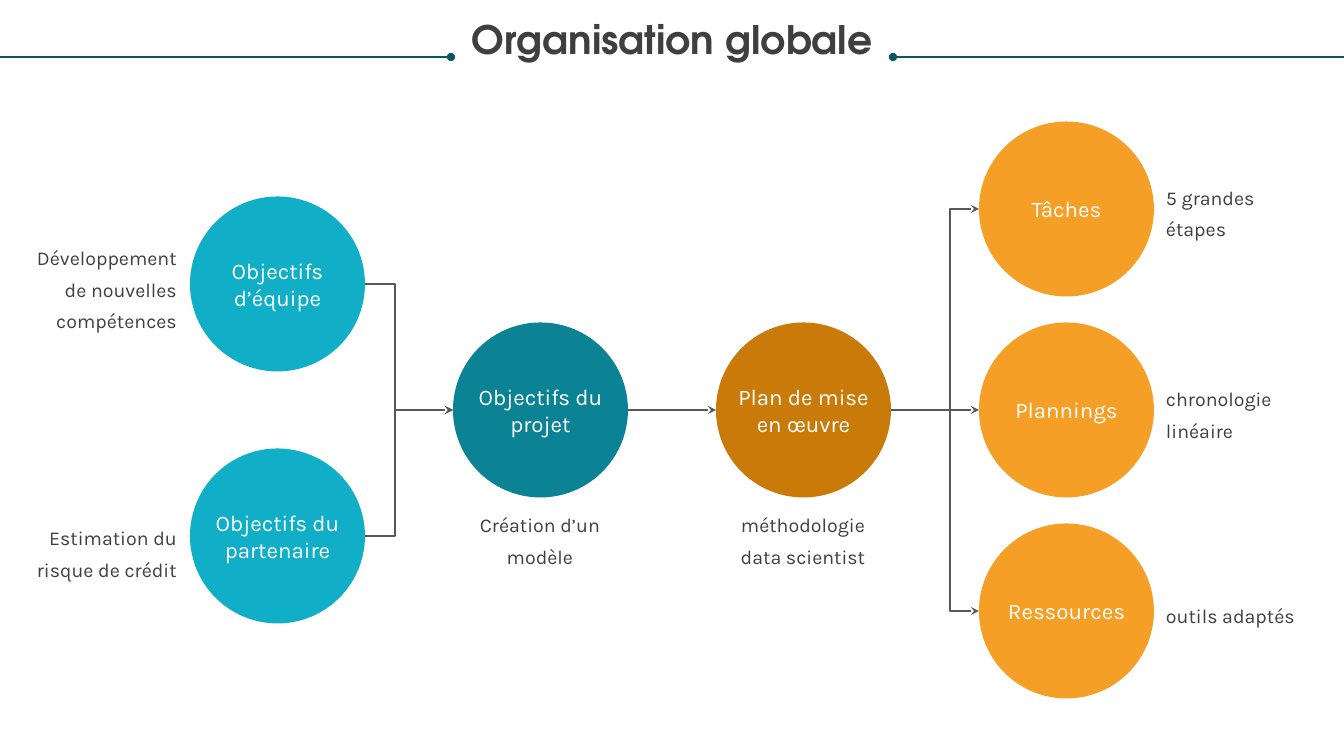
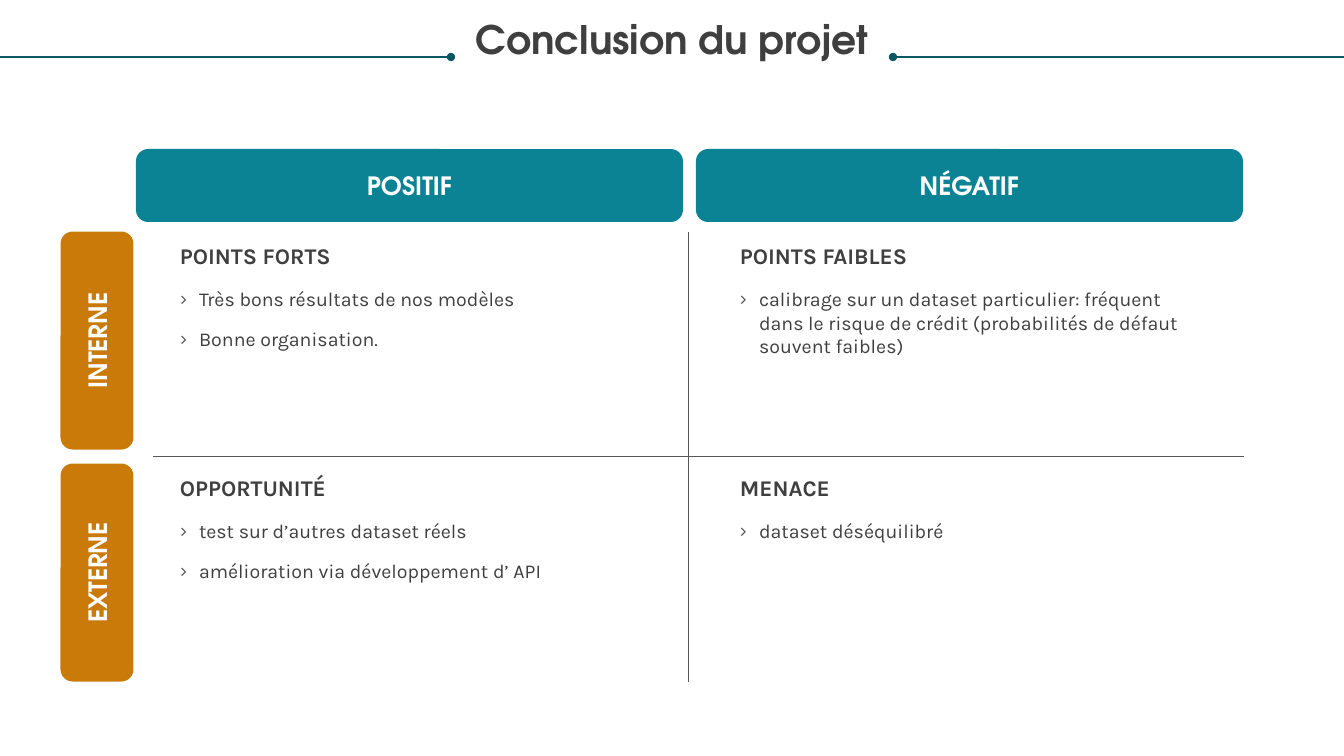
from lxml import etree
from pptx import Presentation
from pptx.dml.color import RGBColor
from pptx.enum.shapes import MSO_CONNECTOR, MSO_SHAPE
from pptx.enum.text import MSO_ANCHOR, MSO_AUTO_SIZE, PP_ALIGN
from pptx.oxml.ns import qn
from pptx.util import Emu, Pt

STRAIGHT, ELBOW = MSO_CONNECTOR.STRAIGHT, MSO_CONNECTOR.ELBOW
OVAL, ROUNDED = MSO_SHAPE.OVAL, MSO_SHAPE.ROUNDED_RECTANGLE
TOP, MIDDLE = MSO_ANCHOR.TOP, MSO_ANCHOR.MIDDLE
LEFT, CENTER, RIGHT = PP_ALIGN.LEFT, PP_ALIGN.CENTER, PP_ALIGN.RIGHT

WHITE = RGBColor(0xFF, 0xFF, 0xFF)
INK = RGBColor(0x3F, 0x3F, 0x3F)
GREY = RGBColor(0x58, 0x58, 0x58)
DARK_TEAL = RGBColor(0x08, 0x57, 0x63)
TEAL = RGBColor(0x0C, 0x82, 0x95)
CYAN = RGBColor(0x11, 0xAE, 0xC7)
BROWN = RGBColor(0xCA, 0x7A, 0x09)
ORANGE = RGBColor(0xF5, 0x9F, 0x26)

HEAD_FONT, BODY_FONT = "TeX Gyre Adventor", "Karla"
W, H = 1344, 756
PX = 12192000 / W


def set_text(s, box, text, size, color=INK, font=BODY_FONT, bold=False,
             align=LEFT, anchor=TOP, spacing=1.0):
    """Place a shape at box (left, top, width, height in px) and format its text."""
    s.left, s.top, s.width, s.height = (Emu(round(v * PX)) for v in box)
    tf = s.text_frame
    tf.text = text
    tf.word_wrap = True
    tf.auto_size = MSO_AUTO_SIZE.NONE
    tf.vertical_anchor = anchor
    tf.margin_left = tf.margin_right = tf.margin_top = tf.margin_bottom = 0
    for p in tf.paragraphs:
        p.alignment = align
        p.line_spacing = spacing
        p.space_before = Pt(0)
        for r in p.runs:
            r.font.name, r.font.size, r.font.bold = font, Pt(size), bold
            r.font.color.rgb = color
    return tf


def add_line(shapes, x1, y1, x2, y2, color, width, head=None, tail=None, bend=None):
    """Draw a line in px; bend is the elbow's position in percent of its width."""
    c = shapes.add_connector(STRAIGHT if bend is None else ELBOW,
                             *(Emu(round(v * PX)) for v in (x1, y1, x2, y2)))
    c.line.color.rgb = color
    c.line.width = Pt(width)
    ln = c.line._get_or_add_ln()
    for tag, kind in (("a:headEnd", head), ("a:tailEnd", tail)):
        if kind:
            etree.SubElement(ln, qn(tag), type=kind)
    sp_pr = c._element.spPr
    etree.SubElement(sp_pr, qn("a:effectLst"))
    if bend is not None:
        guides = sp_pr.find(qn("a:prstGeom")).get_or_add_avLst()
        etree.SubElement(guides, qn("a:gd"), name="adj1", fmla=f"val {bend * 1000}")


prs = Presentation()
prs.slide_width, prs.slide_height = Emu(round(W * PX)), Emu(round(H * PX))

# Shared title with a dotted rule on each side
slides = []
for layout, title in (("Title Only", "Organisation globale"),
                      ("Comparison", "Conclusion du projet")):
    slide = prs.slides.add_slide(prs.slide_layouts.get_by_name(layout))
    set_text(slide.shapes.title, (25, 21, 1294, 80), title, 28, font=HEAD_FONT,
             bold=True, align=CENTER, spacing=0.9)
    add_line(slide.shapes, 0, 57, 451, 57, DARK_TEAL, 0.75, tail="oval")
    add_line(slide.shapes, 893, 57, W, 57, DARK_TEAL, 0.75, head="oval")
    slides.append(slide)

# Slide 1: flow from goals to project, plan and means
shapes = slides[0].shapes
DIAMETER, RADIUS = 175, 87.5
COLUMNS = [190 + 263 * i for i in range(4)]
MID_Y = 410
GOALS_Y = (284, 536)
MEANS_Y = (209, MID_Y, 611)

# Links: left column merges, right column branches out
links = [(0, y, MID_Y, 34) for y in GOALS_Y]
links += [(1, MID_Y, MID_Y, None)]
links += [(2, MID_Y, y, None if y == MID_Y else 67) for y in MEANS_Y]
for column, y1, y2, bend in links:
    add_line(shapes, COLUMNS[column] + DIAMETER, y1, COLUMNS[column + 1], y2,
             GREY, 1.75, tail="stealth", bend=bend)

# Circles with captions: column, centre y, fill, label, caption, caption centre y
steps = [
    (0, GOALS_Y[0], CYAN, "Objectifs d’équipe", "Développement de nouvelles compétences", 285),
    (0, GOALS_Y[1], CYAN, "Objectifs du partenaire", "Estimation du risque de crédit", 549),
    (1, MID_Y, TEAL, "Objectifs du projet", "Création d’un modèle", 536),
    (2, MID_Y, BROWN, "Plan de mise en œuvre", "méthodologie data scientist", 536),
    (3, MEANS_Y[0], ORANGE, "Tâches", "5 grandes étapes", 209),
    (3, MEANS_Y[1], ORANGE, "Plannings", "chronologie linéaire", 410),
    (3, MEANS_Y[2], ORANGE, "Ressources", "outils adaptés", 611),
]
caption_places = [(29, RIGHT), (466, CENTER), (729, CENTER), (1166, LEFT)]
for column, y, fill, label, caption, caption_y in steps:
    x = COLUMNS[column]
    s = shapes.add_shape(OVAL, *(Emu(round(v * PX)) for v in (x, y - RADIUS, DIAMETER, DIAMETER)))
    s.shadow.inherit = False
    s.fill.solid()
    s.fill.fore_color.rgb = fill
    s.line.fill.background()
    set_text(shapes.add_textbox(0, 0, 0, 0), (x + 12, y - 27, 151, 54), label, 16,
             WHITE, align=CENTER, anchor=MIDDLE)
    caption_x, align = caption_places[column]
    set_text(shapes.add_textbox(0, 0, 0, 0), (caption_x, caption_y - 51, 148, 102),
             caption, 14, align=align, anchor=MIDDLE, spacing=1.36)

# Slide 2: two by two matrix
shapes = slides[1].shapes
COL_STEP, ROW_STEP = 560, 232

# Column and row headers
headers = [((136 + COL_STEP * i, 149, 547, 73), 0, TEAL, text)
           for i, text in enumerate(("POSITIF", "NÉGATIF"))]
headers += [((-12, 304 + ROW_STEP * i, 218, 73), 270, BROWN, text)
            for i, text in enumerate(("INTERNE", "EXTERNE"))]
for box, rotation, fill, text in headers:
    s = shapes.add_shape(ROUNDED, 0, 0, 0, 0)
    s.shadow.inherit = False
    s.fill.solid()
    s.fill.fore_color.rgb = fill
    s.line.fill.background()
    s.rotation = rotation
    set_text(s, box, text, 18, WHITE, HEAD_FONT, True, CENTER, MIDDLE)

# Dividers
add_line(shapes, 153, 457, 1244, 457, GREY, 0.75)
add_line(shapes, 689, 232, 689, 682, GREY, 0.75)

# Quadrants, row by row
quadrants = [
    ("POINTS FORTS", ["Très bons résultats de nos modèles", "Bonne organisation."]),
    ("POINTS FAIBLES", ["calibrage sur un dataset particulier: fréquent dans le risque "
                        "de crédit (probabilités de défaut souvent faibles)"]),
    ("OPPORTUNITÉ", ["test sur d’autres dataset réels",
                     "amélioration via développement d’ API"]),
    ("MENACE", ["dataset déséquilibré"]),
]
for i, (heading, items) in enumerate(quadrants):
    row, col = divmod(i, 2)
    x, y = 180 + COL_STEP * col, 242 + ROW_STEP * row
    set_text(shapes.add_textbox(0, 0, 0, 0), (x, y, 459, 28), heading, 16, bold=True)
    tf = set_text(slides[1].placeholders[i + 1], (x, y + 45, 459, 112), "\n".join(items), 14)
    for n, p in enumerate(tf.paragraphs):
        p.space_before = Pt(12 if n else 0)
        pPr = p._p.get_or_add_pPr()
        pPr.set("marL", str(round(19 * PX)))
        pPr.set("indent", str(round(-19 * PX)))
        color = etree.SubElement(pPr, qn("a:buClr"))
        etree.SubElement(color, qn("a:srgbClr"), val=str(GREY))
        etree.SubElement(pPr, qn("a:buFont"), typeface=BODY_FONT)
        etree.SubElement(pPr, qn("a:buChar"), char="›")

prs.save("out.pptx")
